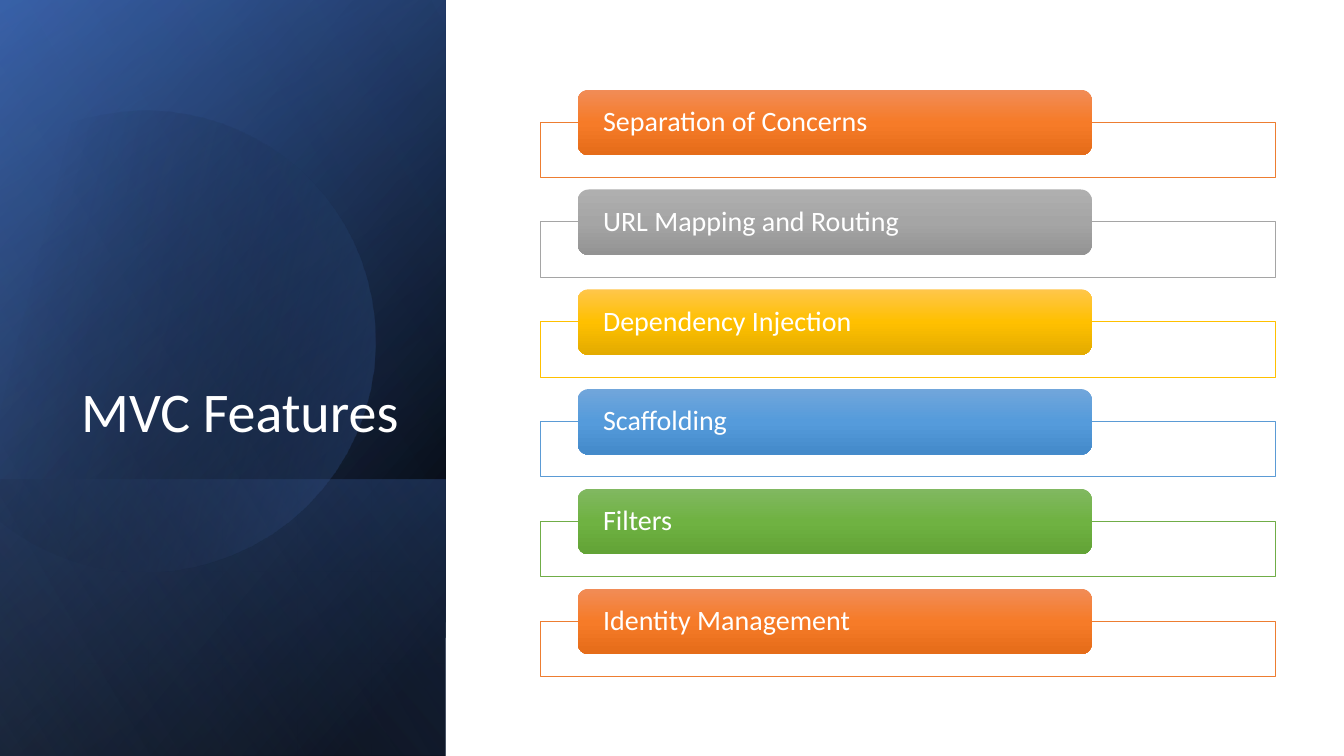
"""Build the MVC Features slide: a dark gradient title panel beside six feature cards."""
import math

import lxml.etree
import pptx
import pptx.dml.color
import pptx.enum.shapes
import pptx.enum.text
import pptx.oxml.ns
import pptx.util

Inches = pptx.util.Inches
qn = pptx.oxml.ns.qn
SHAPES = pptx.enum.shapes.MSO_SHAPE
ALIGN = pptx.enum.text.PP_ALIGN
ANCHOR = pptx.enum.text.MSO_ANCHOR

COLOURS = {
    "white": "FFFFFF", "black": "000000", "navy": "2F5597", "blue": "4472C4", "pale": "8FAADC",
    "orange": "ED7D31", "grey": "A5A5A5", "gold": "FFC000", "sky": "5B9BD5", "green": "70AD47",
}
CARD_GRADIENTS = {
    "orange": ["F18C57", "F67B28", "E56C19"],
    "grey": ["AFAFAF", "A5A5A5", "939393"],
    "gold": ["FFC64B", "FFC000", "E3AB00"],
    "sky": ["71A6DB", "559BDB", "448ACA"],
    "green": ["81B861", "6FB242", "62A336"],
}


def paint(box, stops, angle):
    """Fill a borderless shape with (position, hex, opacity) stops along an angle."""
    box.shadow.inherit = False
    box.line.fill.background()
    box.fill.gradient()
    gradient = box.element.spPr.find(qn("a:gradFill"))
    gradient.set("rotWithShape", "1")
    for child in list(gradient):
        gradient.remove(child)
    stop_list = lxml.etree.SubElement(gradient, qn("a:gsLst"))
    for position, colour, opacity in stops:
        stop = lxml.etree.SubElement(stop_list, qn("a:gs"), pos=str(position * 1000))
        tint = lxml.etree.SubElement(stop, qn("a:srgbClr"), val=colour)
        if opacity < 100:
            lxml.etree.SubElement(tint, qn("a:alpha"), val=str(opacity * 1000))
    lxml.etree.SubElement(gradient, qn("a:lin"), ang=str(angle * 60000), scaled="0")


def write(box, text, size, frame_format, alignment):
    """Write one white line of text in a shape."""
    frame = box.text_frame
    for name, value in frame_format.items():
        setattr(frame, name, value)
    para = frame.paragraphs[0]
    para.alignment = alignment
    para.line_spacing = 0.9
    span = para.add_run()
    span.text = text
    for name, value in {"size": pptx.util.Pt(size), "name": "Calibri"}.items():
        setattr(span.font, name, value)
    span.font.color.rgb = pptx.dml.color.RGBColor.from_string(COLOURS["white"])


deck = pptx.Presentation()
deck.slide_width, deck.slide_height = Inches(13.33), Inches(7.5)
page = deck.slides.add_slide(deck.slide_layouts[6])

full_panel = (-1.54, 1.54, 7.5, 4.42)
lower_panel = (0.84, 3.92, 2.74, 4.42)
panels = [
    (full_panel, [(8, "black", 100), (100, "navy", 100)], 50),
    (full_panel, [(0, "black", 0), (99, "blue", 46)], 30),
    (lower_panel, [(2, "blue", 29), (100, "black", 30)], 130),
    ("circle", [(29, "black", 0), (100, "blue", 43)], 30),
    (full_panel, [(0, "black", 0), (99, "pale", 11)], 120),
]

circle_start = (1.49, 1.1)
circle_curves = [
    [(2.46, 1.12), (3.35, 1.77), (3.63, 2.75)],
    [(3.98, 3.97), (3.28, 5.23), (2.07, 5.58)],
    [(1.31, 5.8), (0.53, 5.61), (-0.03, 5.14)],
    [(-0.15, 5.03)],
    [(-0.15, 1.75)],
    [(0, 1.61)],
    [(0.23, 1.42), (0.5, 1.28), (0.8, 1.19)],
    [(1.03, 1.13), (1.26, 1.1), (1.49, 1.1)],
]
circle_points = [circle_start]
for curve in circle_curves:
    hull = [circle_points[-1]] + curve
    degree = len(curve)
    steps = 16 if degree == 3 else 1
    for step in range(1, steps + 1):
        t = step / steps
        weights = [math.comb(degree, k) * t**k * (1 - t)**(degree - k) for k in range(degree + 1)]
        circle_points.append(tuple(sum(w * point[axis] for w, point in zip(weights, hull)) for axis in (0, 1)))

circle_tilt = 16.1
cosine, sine = math.cos(math.radians(circle_tilt)), math.sin(math.radians(circle_tilt))
center_x, center_y = 1.585, 3.345
upright_points = [
    (Inches(center_x + (x - center_x) * cosine - (y - center_y) * sine),
     Inches(center_y + (x - center_x) * sine + (y - center_y) * cosine))
    for x, y in circle_points
]

for place, stops, angle in panels:
    if place == "circle":
        outline = page.shapes.build_freeform(*upright_points[0])
        outline.add_line_segments(upright_points[1:], close=True)
        box = outline.convert_to_shape()
        box.rotation = 360 - circle_tilt
    else:
        box = page.shapes.add_shape(SHAPES.RECTANGLE, *map(Inches, place))
        box.rotation = 90
        box.element.spPr.find(qn("a:xfrm")).set("flipH", "1")
    paint(box, [(position, COLOURS[name], opacity) for position, name, opacity in stops], angle)

title = page.shapes.add_textbox(*map(Inches, (0.64, 1.84, 3.41, 2.62)))
write(title, "MVC Features", 40, {"word_wrap": True, "vertical_anchor": ANCHOR.BOTTOM}, ALIGN.RIGHT)

features = [
    ("Separation of Concerns", "orange"),
    ("URL Mapping and Routing", "grey"),
    ("Dependency Injection", "gold"),
    ("Scaffolding", "sky"),
    ("Filters", "green"),
    ("Identity Management", "orange"),
]
row_pitch = 0.99
card_format = {
    "word_wrap": True, "vertical_anchor": ANCHOR.MIDDLE,
    "margin_left": Inches(0.22), "margin_right": Inches(0.22), "margin_top": 0, "margin_bottom": 0,
}
for row, (feature, colour) in enumerate(features):
    top = 0.89 + row * row_pitch
    tray = page.shapes.add_shape(SHAPES.RECTANGLE, *map(Inches, (5.36, top + 0.32, 7.29, 0.55)))
    tray.shadow.inherit = False
    tray.fill.solid()
    tray.fill.fore_color.rgb = pptx.dml.color.RGBColor.from_string(COLOURS["white"])
    tint = tray.element.spPr.find(qn("a:solidFill")).find(qn("a:srgbClr"))
    lxml.etree.SubElement(tint, qn("a:alpha"), val="90000")
    tray.line.color.rgb = pptx.dml.color.RGBColor.from_string(COLOURS[colour])
    tray.line.width = pptx.util.Pt(0.5)

    card = page.shapes.add_shape(SHAPES.ROUNDED_RECTANGLE, *map(Inches, (5.73, top, 5.1, 0.65)))
    paint(card, [(50 * k, shade, 100) for k, shade in enumerate(CARD_GRADIENTS[colour])], 90)
    write(card, feature, 20, card_format, ALIGN.LEFT)

deck.save("out.pptx")
